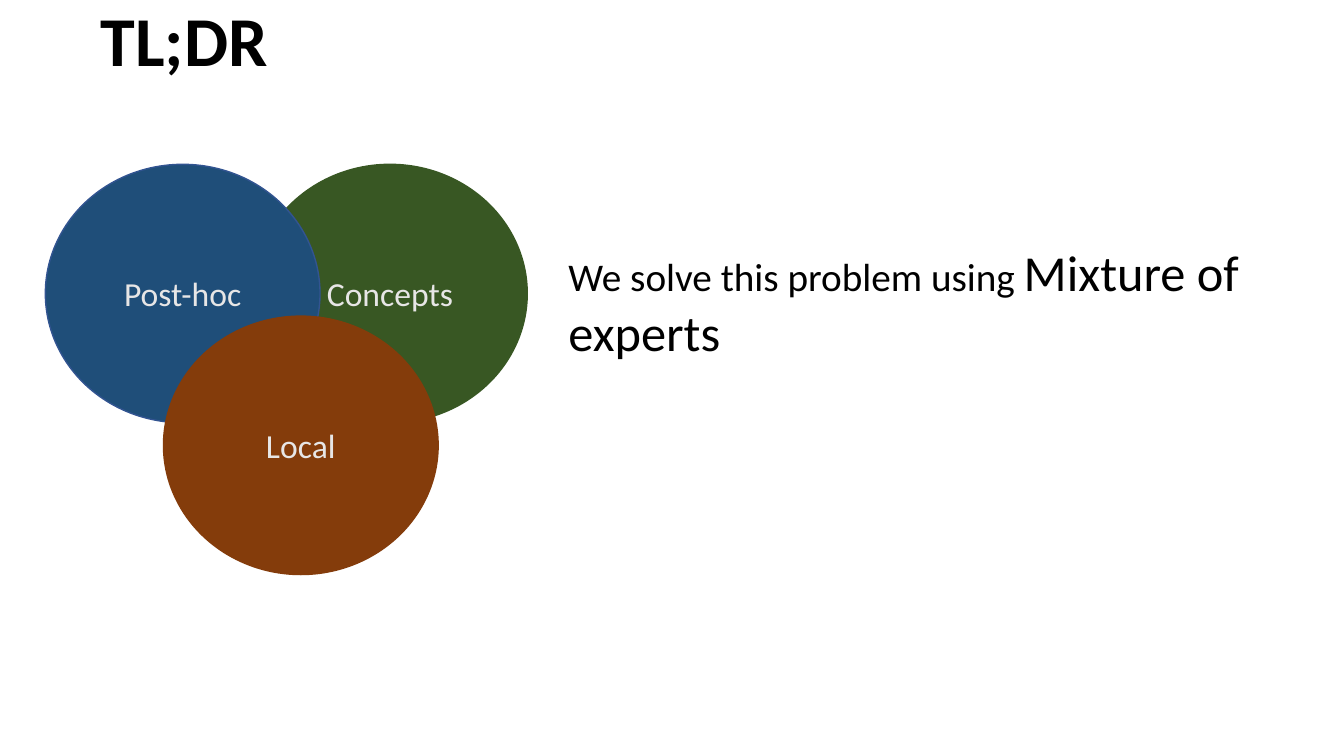
from dataclasses import dataclass

from pptx import Presentation
from pptx.dml.color import RGBColor
from pptx.enum.shapes import MSO_SHAPE as Preset
from pptx.enum.text import MSO_ANCHOR as Anchor, MSO_AUTO_SIZE as AutoSize, PP_ALIGN as Align
from pptx.util import Inches, Pt


@dataclass(frozen=True)
class Theme:
    font: str = "Calibri"
    ink: str = "000000"
    label: str = "E7E6E6"
    blue: str = "1F4E79"
    blue_edge: str = "325491"
    green: str = "385723"
    brown: str = "843C0B"
    title_size: int = 50
    label_size: int = 24
    body_size: int = 28
    emphasis_size: int = 36


@dataclass(frozen=True)
class Box:
    left: float
    top: float
    width: float
    height: float

    def emu(self):
        return [Inches(length) for length in (self.left, self.top, self.width, self.height)]

    def pinned(self, width_share, height_share, across, down):
        width, height = self.width * width_share, self.height * height_share
        return Box(self.left + across * (self.width - width),
                   self.top + down * (self.height - height), width, height)


THEME = Theme()
SLIDE_WIDTH, SLIDE_HEIGHT = 13.33, 7.5
TITLE_BOX = Box(0.9, -0.16, 5.94, 1.02)
VENN_BOX = Box(0.45, 1.63, 4.78, 4.07)
MESSAGE_BOX = Box(5.54, 2.34, 7, 1.31)
CIRCLE_WIDTH_SHARE, CIRCLE_HEIGHT_SHARE = 0.57, 0.63


def style_font(font, size, color):
    font.name = THEME.font
    font.size = Pt(size)
    font.color.rgb = RGBColor.from_string(color)


def add_text_frame(slide, box):
    frame = slide.shapes.add_textbox(*box.emu()).text_frame
    frame.word_wrap = True
    return frame


def add_title(slide, box):
    frame = add_text_frame(slide, box)
    frame.vertical_anchor = Anchor.BOTTOM
    paragraph = frame.paragraphs[0]
    paragraph.text = "TL;DR"
    paragraph.line_spacing = 0.9
    paragraph.space_after = Pt(6)
    style_font(paragraph.font, THEME.title_size, THEME.ink)
    paragraph.font.bold = True


def add_circle(slide, box, label, fill, edge):
    shape = slide.shapes.add_shape(Preset.OVAL, *box.emu())
    shape.shadow.inherit = False
    shape.fill.solid()
    shape.fill.fore_color.rgb = RGBColor.from_string(fill)
    shape.line.color.rgb = RGBColor.from_string(edge)
    shape.line.width = Pt(1)
    shape.text_frame.vertical_anchor = Anchor.MIDDLE
    paragraph = shape.text_frame.paragraphs[0]
    paragraph.text = label
    paragraph.alignment = Align.CENTER
    style_font(paragraph.font, THEME.label_size, THEME.label)


def add_venn(slide, box):
    circles = [
        ("Concepts", THEME.green, THEME.green, 1, 0),
        ("Post-hoc", THEME.blue, THEME.blue_edge, 0, 0),
        ("Local", THEME.brown, THEME.brown, 0.57, 1),
    ]
    for label, fill, edge, across, down in circles:
        circle_box = box.pinned(CIRCLE_WIDTH_SHARE, CIRCLE_HEIGHT_SHARE, across, down)
        add_circle(slide, circle_box, label, fill, edge)


def add_message(slide, box):
    frame = add_text_frame(slide, box)
    frame.auto_size = AutoSize.SHAPE_TO_FIT_TEXT
    paragraph = frame.paragraphs[0]
    for text, size in (("We solve this problem using ", THEME.body_size),
                       ("Mixture of experts", THEME.emphasis_size)):
        run = paragraph.add_run()
        run.text = text
        style_font(run.font, size, THEME.ink)


def main():
    presentation = Presentation()
    presentation.slide_width = Inches(SLIDE_WIDTH)
    presentation.slide_height = Inches(SLIDE_HEIGHT)
    slide = presentation.slides.add_slide(presentation.slide_layouts[6])
    add_title(slide, TITLE_BOX)
    add_venn(slide, VENN_BOX)
    add_message(slide, MESSAGE_BOX)
    presentation.save("out.pptx")


if __name__ == "__main__":
    main()
